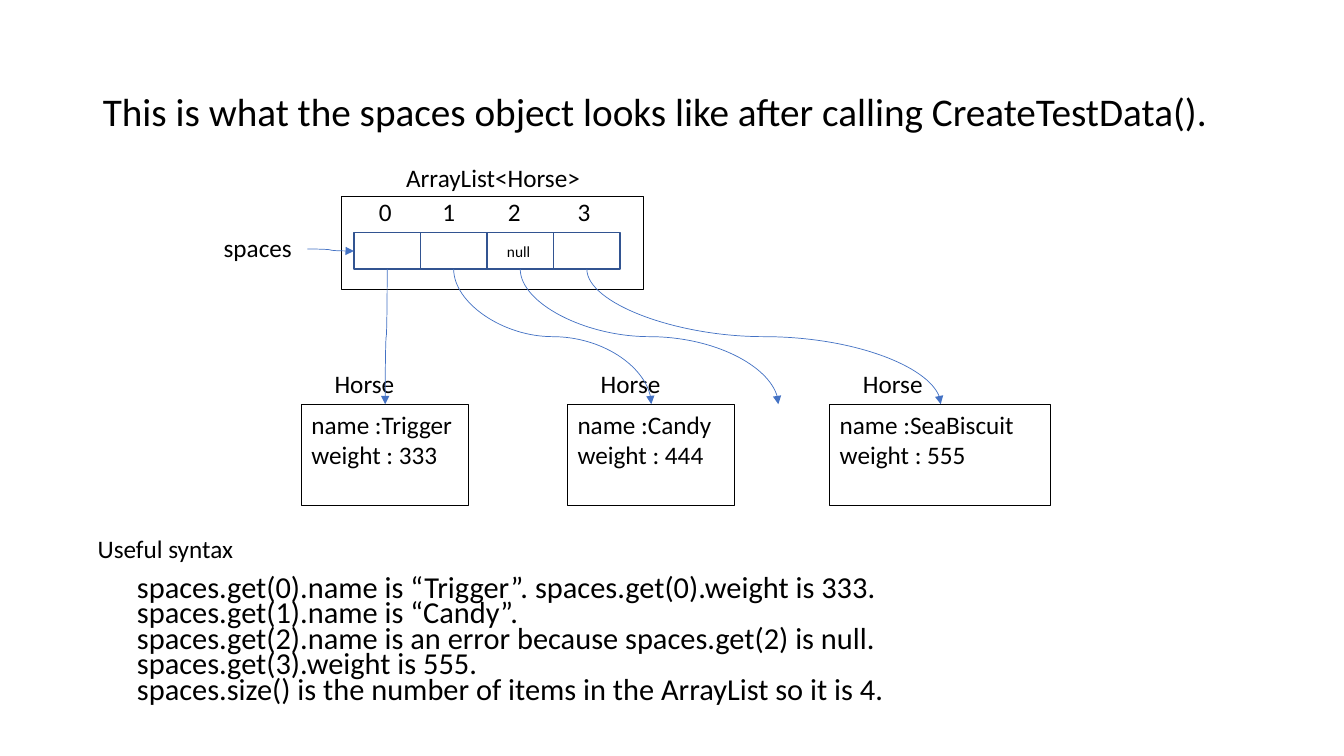
"""Build a slide showing an ArrayList of Horse objects and its useful syntax."""
from lxml import etree
from pptx import Presentation
from pptx.dml.color import RGBColor
from pptx.enum.shapes import MSO_CONNECTOR, MSO_SHAPE
from pptx.enum.text import MSO_ANCHOR, MSO_AUTO_SIZE, PP_ALIGN
from pptx.oxml.ns import qn
from pptx.util import Inches, Pt

CURVE = MSO_CONNECTOR.CURVE
RECTANGLE = MSO_SHAPE.RECTANGLE
TOP, MIDDLE = MSO_ANCHOR.TOP, MSO_ANCHOR.MIDDLE
LEFT = PP_ALIGN.LEFT
NO_AUTOFIT = MSO_AUTO_SIZE.NONE
COLORS = {"text": "000000", "frame": "000000", "cell": "325491", "arrow": "4472C4"}

deck = Presentation()
deck.slide_width, deck.slide_height = Inches(13.33), Inches(7.5)
page = deck.slides.add_slide(deck.slide_layouts[5])


def write(box, lines, size=18, anchor=TOP, spacing=None):
    frame = box.text_frame
    frame.word_wrap = True
    frame.auto_size = NO_AUTOFIT
    frame.vertical_anchor = anchor
    frame.text = "\n".join(lines)
    for para in frame.paragraphs:
        para.alignment = LEFT
        para.line_spacing = spacing
        para.font.name = "Calibri"
        para.font.size = Pt(size)
        para.font.color.rgb = RGBColor.from_string(COLORS["text"])


def add_outline(left, top, width, height, color, weight):
    box = page.shapes.add_shape(RECTANGLE, Inches(left), Inches(top), Inches(width), Inches(height))
    box.shadow.inherit = False
    box.fill.background()
    box.line.color.rgb = RGBColor.from_string(COLORS[color])
    box.line.width = Pt(weight)
    return box


title = page.shapes.title
title.left, title.top = Inches(0.92), Inches(0.4)
title.width, title.height = Inches(11.5), Inches(1.45)
write(title, ["This is what the spaces object looks like after calling CreateTestData()."], 28, MIDDLE, 0.9)

add_outline(3.39, 1.95, 2.99, 0.92, "frame", 0.75)
cell_left, cell_top, cell_width, cell_height = 3.51, 2.31, 0.66, 0.36
for index in range(4):
    add_outline(cell_left + index * cell_width, cell_top, cell_width, cell_height, "cell", 1)

horses = [
    (2.99, 1.66, "Trigger", 333),
    (5.63, 1.66, "Candy", 444),
    (8.23, 2.19, "SeaBiscuit", 555),
]
horse_top = 4.01
for left, width, name, weight in horses:
    horse = add_outline(left, horse_top, width, 1.01, "frame", 0.75)
    write(horse, [f"name :{name}", f"weight : {weight}"])

labels = [
    ("ArrayList<Horse>", 3.93, 1.56, 1.94, 18),
    ("spaces", 2.12, 2.26, 0.93, 18),
    ("null", 4.93, 2.35, 0.46, 11),
    ("Useful syntax", 0.87, 5.24, 1.56, 18),
]
labels += [(str(index), left, 1.9, 0.3, 18) for index, left in enumerate([3.66, 4.29, 4.94, 5.63])]
labels += [("Horse", left + 0.23, 3.6, 1.07, 18) for left, *rest in horses]
for text, left, top, width, size in labels:
    label = page.shapes.add_textbox(Inches(left), Inches(top), Inches(width), Inches(0.4))
    write(label, [text], size)

syntax = page.shapes.add_textbox(Inches(1.26), Inches(5.64), Inches(9.61), Inches(1.45))
write(syntax, [
    "spaces.get(0).name is “Trigger”. spaces.get(0).weight is 333.",
    "spaces.get(1).name is “Candy”.",
    "spaces.get(2).name is an error because spaces.get(2) is null.",
    "spaces.get(3).weight is 555.",
    "spaces.size() is the number of items in the ArrayList so it is 4.",
], 21.7, MIDDLE, 0.7)

arrows = [page.shapes.add_connector(CURVE, Inches(3.05), Inches(2.47), Inches(3.51), Inches(2.49))]
cell_bottom = cell_top + cell_height
for index, end in enumerate([3.82, 6.46, 7.72, 9.33]):
    start = cell_left + (index + 0.5) * cell_width
    drop, shift = horse_top - cell_bottom, abs(end - start)
    left = (start + end - drop) / 2
    top = (cell_bottom + horse_top - shift) / 2
    arrow = page.shapes.add_connector(CURVE, Inches(left), Inches(top), Inches(left + drop), Inches(top + shift))
    transform = arrow._element.spPr.find(qn("a:xfrm"))
    if end < start:
        transform.set("rot", "5400000")
    else:
        transform.set("rot", "16200000")
        transform.set("flipH", "1")
    arrows.append(arrow)

for arrow in arrows:
    arrow.line.color.rgb = RGBColor.from_string(COLORS["arrow"])
    arrow.line.width = Pt(0.5)
    etree.SubElement(arrow.line._get_or_add_ln(), qn("a:tailEnd"), type="triangle")
    etree.SubElement(arrow._element.spPr, qn("a:effectLst"))

deck.save("out.pptx")
